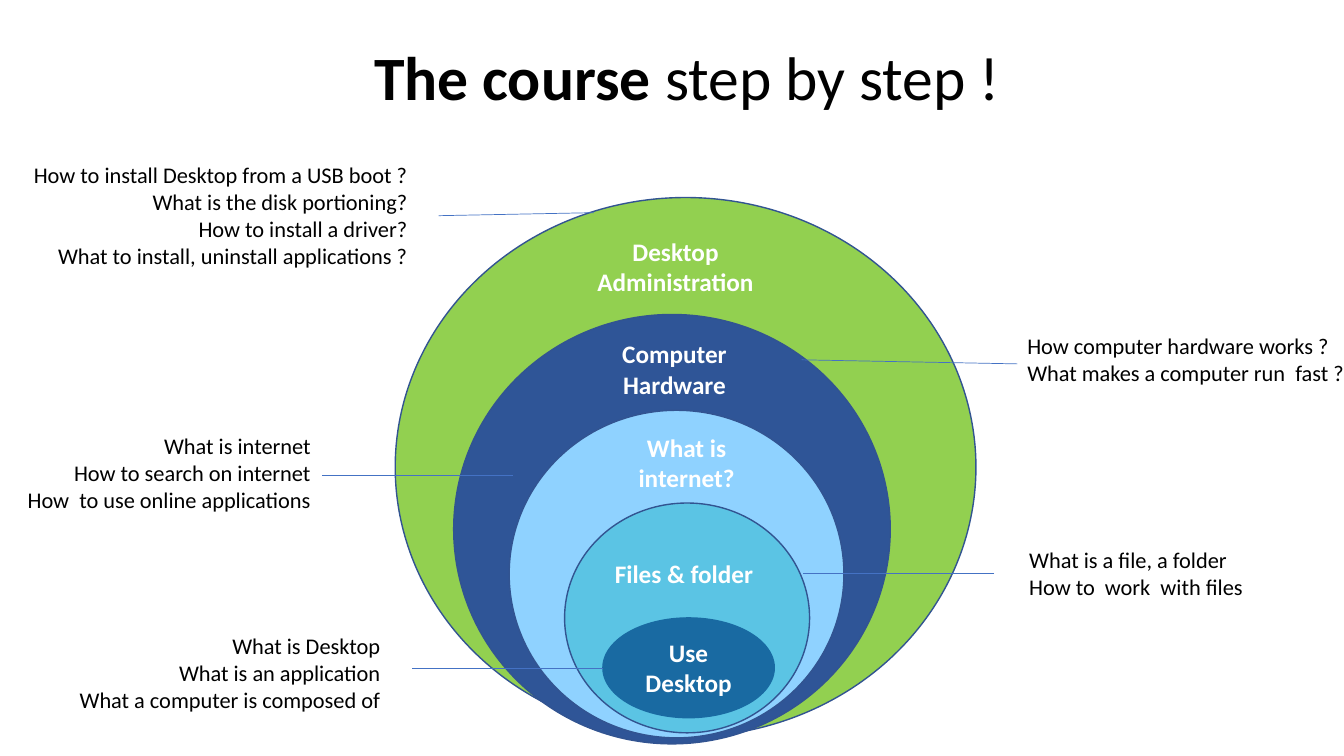
from dataclasses import dataclass

from lxml import etree
from pptx import Presentation
from pptx import util as u
from pptx.dml.color import RGBColor
from pptx.enum import shapes, text
from pptx.oxml.ns import qn

PX = 9144


@dataclass(frozen=True)
class Theme:
    font: str = "Calibri"
    title_pt: int = 44
    label_pt: int = 18
    note_pt: int = 16
    ink: str = "000000"
    white: str = "FFFFFF"
    outline: str = "325491"
    leader: str = "4472C4"
    admin: str = "92D050"
    hardware: str = "2F5597"
    internet: str = "8FD2FF"
    files: str = "5BC4E4"
    desktop: str = "196AA2"


T = Theme()
LEFT, CENTER, RIGHT = text.PP_ALIGN.LEFT, text.PP_ALIGN.CENTER, text.PP_ALIGN.RIGHT
TITLE = {"size": u.Pt(T.title_pt), "color": T.ink}
LABEL = {"size": u.Pt(T.label_pt), "color": T.white, "bold": True}
NOTE = {"size": u.Pt(T.note_pt), "color": T.ink}

RINGS = [
    ((392, 196, 576, 535), T.admin, T.outline),
    ((450, 312, 433, 426), T.hardware, T.outline),
    ((505, 407, 332, 325), T.internet, T.outline),
    ((560, 499, 243, 228), T.files, T.outline),
]
CORE = ((598, 613, 170, 99), T.desktop, T.desktop)

LABELS = [
    ((600, 549, 170, 40), ["Files & folder"], LEFT),
    ((618, 424, 126, 71), ["What is internet?"], CENTER),
    ((606, 331, 126, 71), ["Computer", "Hardware"], CENTER),
    ((570, 229, 200, 71), ["Desktop", "Administration"], CENTER),
]

NOTES = [
    ((1009, 325, 335, 64),
     ["How computer hardware works ?", "What makes a computer run  fast ?"], LEFT, False),
    ((8, 155, 406, 118),
     ["How to install Desktop from a USB boot ?", "What is the disk portioning?",
      "How to install a driver?", "What to install, uninstall applications ?"], RIGHT, True),
    ((65, 622, 322, 91),
     ["What is Desktop", "What is an application", "What a computer is composed of"],
     RIGHT, True),
    ((0, 424, 318, 91),
     ["What is internet", "How to search on internet", "How  to use online applications"],
     RIGHT, True),
    ((1011, 537, 307, 64),
     ["What is a file, a folder", "How to  work  with files"], LEFT, True),
]

LEADERS = [
    (598, 663, 409, 663),
    (986, 569, 796, 569),
    (509, 472, 319, 472),
    (1009, 361, 795, 357),
    (589, 211, 435, 214),
]


def emu(box):
    return [n * PX for n in box]


def rgb(color):
    return RGBColor.from_string(color)


def add_run(p, words, fmt):
    r = p.add_run()
    r.text = words
    r.font.name = T.font
    for key, value in fmt.items():
        if key == "color":
            r.font.color.rgb = rgb(value)
        else:
            setattr(r.font, key, value)


def add_ellipse(s, box, fill, line):
    sp = s.shapes.add_shape(shapes.MSO_SHAPE.OVAL, *emu(box))
    sp.shadow.inherit = False
    sp.fill.solid()
    sp.fill.fore_color.rgb = rgb(fill)
    sp.line.color.rgb = rgb(line)
    sp.line.width = u.Pt(1)
    return sp


def add_text(s, box, lines, fmt, align=LEFT, wrap=True):
    tf = s.shapes.add_textbox(*emu(box)).text_frame
    tf.word_wrap = wrap
    tf.auto_size = text.MSO_AUTO_SIZE.SHAPE_TO_FIT_TEXT
    for i, line in enumerate(lines):
        p = tf.add_paragraph() if i else tf.paragraphs[0]
        p.alignment = align
        add_run(p, line, fmt)
    return tf


def add_title(s):
    tf = add_text(s, (358, 32, 699, 88), ["The course"], {**TITLE, "bold": True})
    add_run(tf.paragraphs[0], " step by step !", {**TITLE, "bold": False})
    margins = {"margin_left": 13, "margin_right": 13, "margin_top": 7, "margin_bottom": 7}
    for key, value in margins.items():
        setattr(tf, key, value * PX)


def add_core(s):
    tf = add_ellipse(s, *CORE).text_frame
    tf.word_wrap = True
    tf.vertical_anchor = text.MSO_ANCHOR.MIDDLE
    p = tf.paragraphs[0]
    p.alignment = CENTER
    add_run(p, "Use Desktop", LABEL)


def add_leader(s, ends):
    cx = s.shapes.add_connector(shapes.MSO_CONNECTOR.STRAIGHT, *emu(ends))
    cx.line.color.rgb = rgb(T.leader)
    cx.line.width = u.Pt(0.5)
    etree.SubElement(cx._element.spPr, qn("a:effectLst"))


def main():
    prs = Presentation()
    prs.slide_width, prs.slide_height = emu((1333, 750))
    s = prs.slides.add_slide(prs.slide_layouts[6])
    for ring in RINGS:
        add_ellipse(s, *ring)
    add_core(s)
    for box, lines, align in LABELS:
        add_text(s, box, lines, LABEL, align)
    for box, lines, align, wrap in NOTES:
        add_text(s, box, lines, NOTE, align, wrap)
    add_title(s)
    for ends in LEADERS:
        add_leader(s, ends)
    prs.save("out.pptx")


if __name__ == "__main__":
    main()
